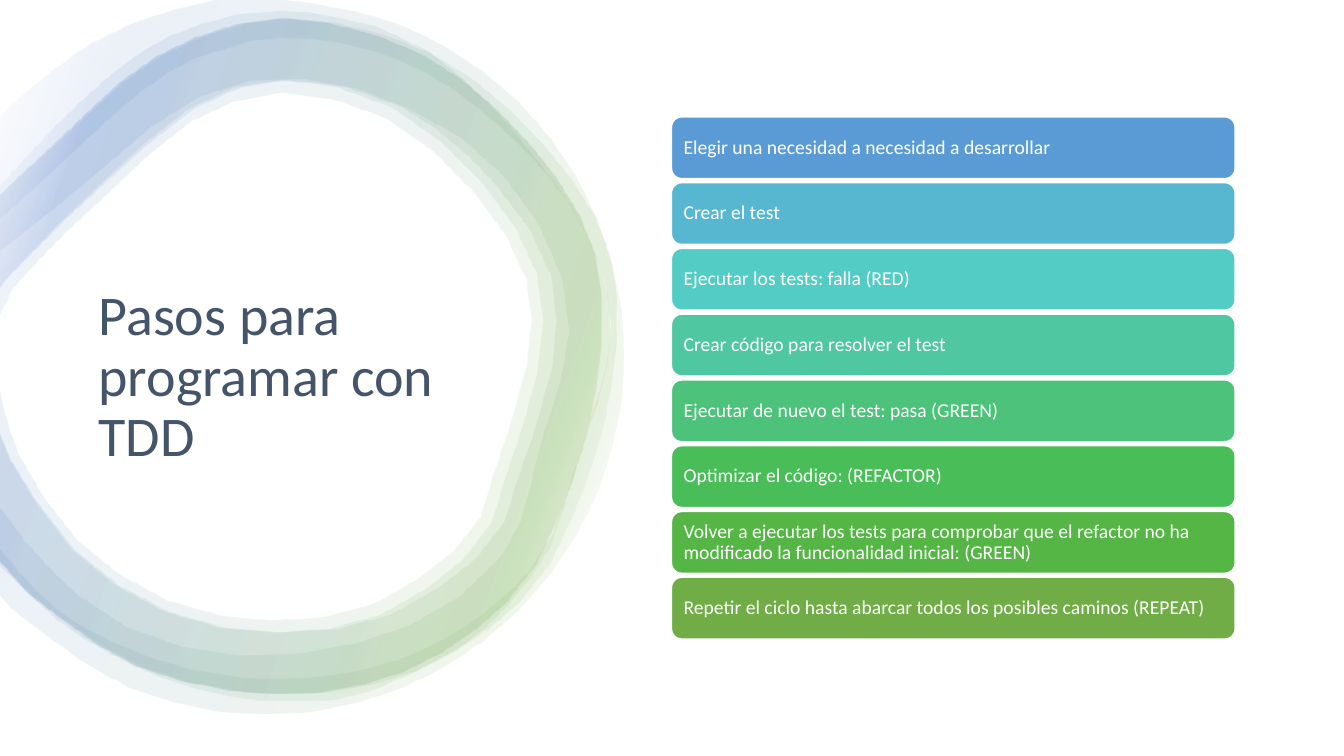
from math import ceil, dist

from lxml import etree
from pptx import Presentation
from pptx.dml.color import RGBColor
from pptx.enum.shapes import MSO_SHAPE
from pptx.enum.text import MSO_ANCHOR, PP_ALIGN
from pptx.oxml.ns import qn
from pptx.util import Inches, Pt

ROUNDED = MSO_SHAPE.ROUNDED_RECTANGLE
MIDDLE = MSO_ANCHOR.MIDDLE
LEFT = PP_ALIGN.LEFT

FONT = "Calibri"
WHITE = RGBColor(0xFF, 0xFF, 0xFF)
SLATE = RGBColor(0x44, 0x54, 0x6A)
GREEN = RGBColor(0x70, 0xAD, 0x47)
BLUE = RGBColor(0x44, 0x72, 0xC4)
RING_STOPS = [(2, WHITE), (16, GREEN), (85, BLUE), (100, WHITE)]
RING_OPACITY = 10
RING_ANGLE = 200

STEPS = [
    ("Elegir una necesidad a necesidad a desarrollar", RGBColor(0x5B, 0x9B, 0xD5)),
    ("Crear el test", RGBColor(0x57, 0xB7, 0xD1)),
    ("Ejecutar los tests: falla (RED)", RGBColor(0x53, 0xCC, 0xC5)),
    ("Crear código para resolver el test", RGBColor(0x4F, 0xC7, 0xA0)),
    ("Ejecutar de nuevo el test: pasa (GREEN)", RGBColor(0x4C, 0xC2, 0x7B)),
    ("Optimizar el código: (REFACTOR)", RGBColor(0x48, 0xBD, 0x58)),
    ("Volver a ejecutar los tests para comprobar que el refactor no ha "
     "modificado la funcionalidad inicial: (GREEN)", RGBColor(0x55, 0xB6, 0x46)),
    ("Repetir el ciclo hasta abarcar todos los posibles caminos (REPEAT)", GREEN),
]

# Ring edges in inches: outer ones run clockwise, inner ones back up
WAVY_OUTER = [
    (0, 1.84), (0.5, 1.3), (1.09, 0.75), (1.66, 0.37), (2.34, 0.15), (2.75, 0.12),
    (3.05, 0.13), (3.73, 0.27), (4.24, 0.51), (4.84, 1.03), (5.26, 1.52),
    (5.65, 2.03), (5.94, 2.62), (6.05, 3.29), (5.93, 3.96), (5.74, 4.52),
    (5.61, 4.96), (5.45, 5.43), (5.05, 5.97), (4.56, 6.41), (3.66, 6.85),
    (3, 6.95), (2.34, 6.91), (1.7, 6.75), (1.11, 6.49), (0.56, 6.14), (0, 5.61)]
WAVY_INNER = [
    (0, 5.03), (0.25, 5.37), (0.76, 5.89), (1.25, 6.21), (1.81, 6.41), (2.39, 6.49),
    (2.97, 6.47), (3.53, 6.37), (4.07, 6.19), (4.56, 5.9), (4.97, 5.5), (5.16, 5.15),
    (5.35, 4.41), (5.54, 3.81), (5.64, 3.29), (5.56, 2.74), (5.33, 2.22),
    (4.99, 1.75), (4.55, 1.36), (4.04, 1.08), (3.53, 0.88), (2.99, 0.79),
    (2.46, 0.81), (1.96, 0.97), (1.5, 1.26), (1.05, 1.64), (0.57, 2.04), (0, 2.49)]
BLOB_OUTER = [
    (0, 1.93), (0.59, 1.39), (1.6, 0.55), (2.86, 0.18), (4.28, 0.53), (5.38, 1.42),
    (6.05, 2.52), (6.06, 3.86), (5.67, 5.14), (5.15, 5.97), (4.1, 6.66),
    (2.79, 6.88), (1.41, 6.61), (0.29, 5.88), (0, 5.56)]
BLOB_INNER = [
    (0, 4.29), (0.09, 4.53), (0.73, 5.44), (1.67, 6.06), (2.79, 6.27), (3.87, 6.09),
    (4.71, 5.54), (5, 5.17), (5.14, 4.72), (5.47, 3.65), (5.46, 2.72), (4.91, 1.82),
    (3.98, 1.06), (2.86, 0.79), (1.93, 1.07), (1.03, 1.82), (0.64, 2.18),
    (0.04, 2.79), (0, 2.87)]
THICK_INNER = [
    (0, 3.83), (0.18, 4.48), (0.78, 5.36), (1.67, 5.95), (2.71, 6.15), (3.72, 5.98),
    (4.51, 5.45), (4.77, 5.12), (4.9, 4.69), (5.23, 3.6), (5.22, 2.76), (4.7, 1.9),
    (3.83, 1.17), (2.79, 0.92), (1.9, 1.2), (1.08, 1.91), (0.69, 2.27),
    (0.13, 2.86), (0, 3.13)]
ROUND_OUTER = [
    (0, 1.16), (0.12, 1.03), (0.85, 0.46), (1.71, 0.1), (2.63, -0.01), (3.99, 0.26),
    (5.14, 1.02), (5.91, 2.17), (6.18, 3.53), (5.91, 4.89), (5.14, 6.04),
    (3.99, 6.81), (2.63, 7.08), (1.27, 6.81), (0.12, 6.04), (0, 5.9)]
ROUND_INNER = [
    (0, 5.44), (0.17, 5.65), (0.6, 6.07), (1.2, 6.4), (1.87, 6.63), (2.41, 6.71),
    (3.04, 6.71), (3.66, 6.62), (4.24, 6.41), (4.78, 6.08), (5.24, 5.65),
    (5.49, 5.25), (5.64, 4.79), (5.94, 3.85), (6.05, 3.22), (5.92, 2.59),
    (5.63, 2.02), (5.22, 1.52), (4.75, 1.09), (4.24, 0.74), (3.67, 0.5),
    (3.07, 0.39), (2.47, 0.41), (1.9, 0.59), (1.38, 0.92), (0.9, 1.34),
    (0.42, 1.79), (0, 2.17)]


def squeeze(points):
    return [(x * 0.976, y) for x, y in points]


RINGS = [
    (WAVY_OUTER, WAVY_INNER),
    (BLOB_OUTER, BLOB_INNER),
    (squeeze(BLOB_OUTER), THICK_INNER),
    (squeeze(BLOB_OUTER), squeeze(BLOB_INNER)),
    (ROUND_OUTER, ROUND_INNER),
]


def smooth_curve(points, step=0.6):
    """Catmull-Rom curve through the points, in lines no longer than about step."""
    ends = [points[0], *points, points[-1]]
    curve = []
    for a, b, c, d in zip(ends, ends[1:], ends[2:], ends[3:]):
        n = ceil(dist(b, c) / step)
        for t in (i / n for i in range(n)):
            curve.append(tuple(
                max(-0.01, q + t * (r - p) / 2
                    + t * t * (2 * p - 5 * q + 4 * r - s) / 2
                    + t ** 3 * (3 * q - p - 3 * r + s) / 2)
                for p, q, r, s in zip(a, b, c, d)))
    return curve + [points[-1]]


def fill_ring(sp):
    grad = etree.Element(qn("a:gradFill"), rotWithShape="1")
    stops = etree.SubElement(grad, qn("a:gsLst"))
    for pos, color in RING_STOPS:
        gs = etree.SubElement(stops, qn("a:gs"), pos=str(pos * 1000))
        clr = etree.SubElement(gs, qn("a:srgbClr"), val=str(color))
        etree.SubElement(clr, qn("a:alpha"), val=str(RING_OPACITY * 1000))
    etree.SubElement(grad, qn("a:lin"), ang=str(RING_ANGLE * 60000), scaled="0")
    sp._element.spPr.find(qn("a:custGeom")).addnext(grad)


def add_rings(s, x, y):
    for outer, inner in RINGS:
        edge = smooth_curve(outer) + smooth_curve(inner)
        points = [(Inches(x + px), Inches(y + py)) for px, py in edge]
        builder = s.shapes.build_freeform(*points[0])
        builder.add_line_segments(points[1:], close=True)
        sp = builder.convert_to_shape()
        sp.shadow.inherit = False
        sp.line.fill.background()
        fill_ring(sp)


def write(sp, text, size, color):
    tf = sp.text_frame
    tf.word_wrap = True
    tf.vertical_anchor = MIDDLE
    p = tf.paragraphs[0]
    p.alignment = LEFT
    p.line_spacing = 0.9
    r = p.add_run()
    r.text = text
    r.font.name = FONT
    r.font.size = Pt(size)
    r.font.color.rgb = color
    return tf


def add_title(s, x, y, w, h):
    sp = s.shapes.add_textbox(Inches(x), Inches(y), Inches(w), Inches(h))
    write(sp, "Pasos para programar con TDD", 40, SLATE)


def add_steps(s, x, y, w, h, gap=0.04):
    step_h = (h - gap * (len(STEPS) - 1)) / len(STEPS)
    for i, (text, color) in enumerate(STEPS):
        top = y + i * (step_h + gap)
        sp = s.shapes.add_shape(ROUNDED, Inches(x), Inches(top), Inches(w), Inches(step_h))
        sp.shadow.inherit = False
        sp.fill.solid()
        sp.fill.fore_color.rgb = color
        sp.line.color.rgb = WHITE
        sp.line.width = Pt(1)
        tf = write(sp, text, 14, WHITE)
        tf.margin_left = tf.margin_right = Inches(0.09)
        tf.margin_top = tf.margin_bottom = Inches(0.06)


prs = Presentation()
prs.slide_width, prs.slide_height = Inches(13.33), Inches(7.5)
s = prs.slides.add_slide(prs.slide_layouts[6])
add_rings(s, 0, 0)
add_title(s, 0.88, 2.21, 4, 3.08)
add_steps(s, 6.66, 1.16, 5.59, 5.18)
prs.save("out.pptx")
